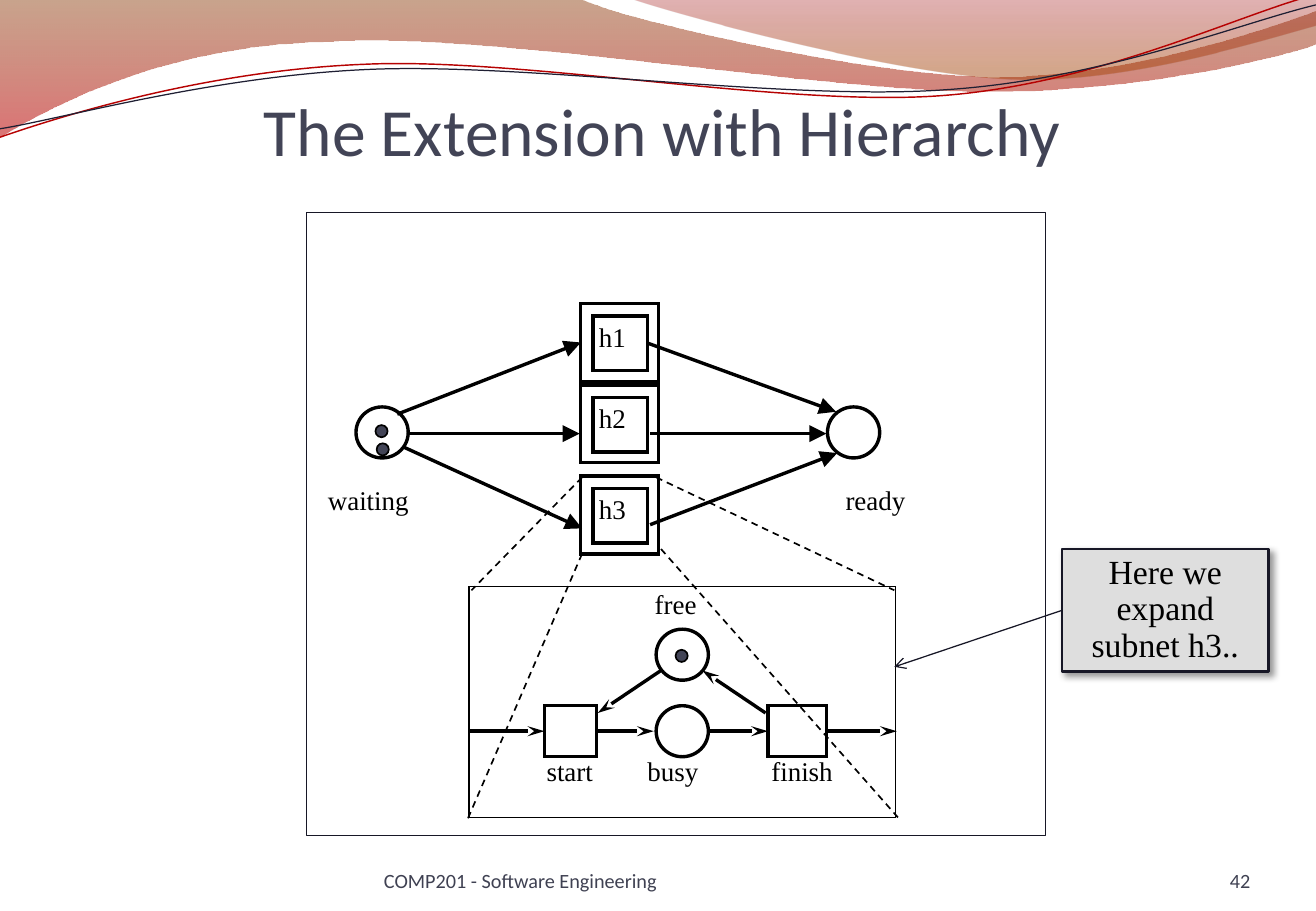
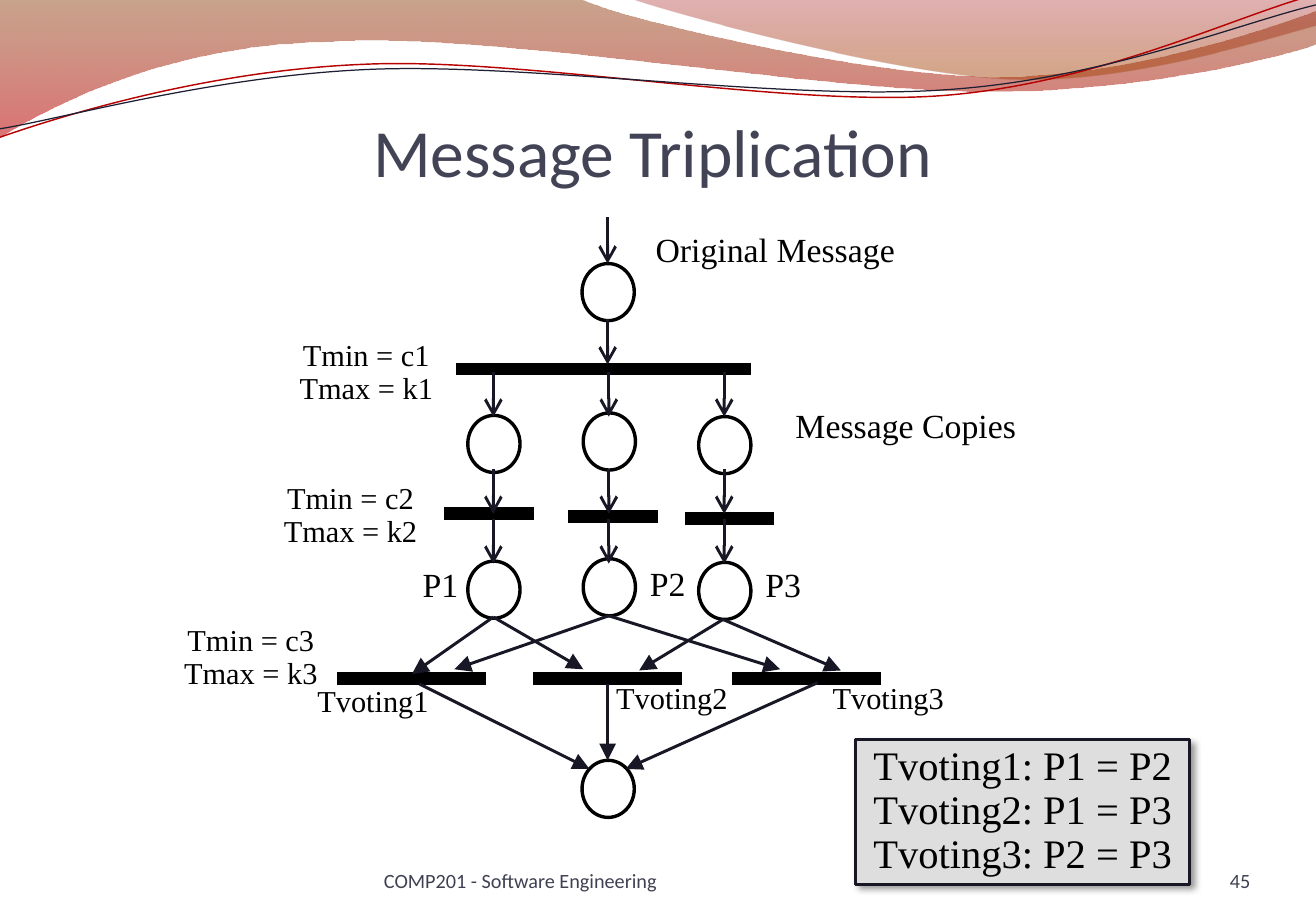
from lxml.etree import SubElement
from pptx import Presentation
from pptx.dml.color import RGBColor
from pptx.enum.dml import MSO_LINE
from pptx.enum.shapes import MSO_CONNECTOR, MSO_SHAPE
from pptx.enum.text import MSO_ANCHOR, MSO_AUTO_SIZE, PP_ALIGN
from pptx.oxml.ns import qn
from pptx.util import Inches, Pt

BLACK = RGBColor(0x00, 0x00, 0x00)
INK = RGBColor(0x17, 0x17, 0x26)
SLATE = RGBColor(0x42, 0x44, 0x56)
FOOT = RGBColor(0x3F, 0x41, 0x52)
GREY = RGBColor(0xDE, 0xDE, 0xDE)
BROWN = RGBColor(0x88, 0x34, 0x00)
RED = RGBColor(0xBD, 0x00, 0x00)
WINE = RGBColor(0x9A, 0x00, 0x00)
RUST = RGBColor(0xA2, 0x3E, 0x00)
SCARLET = RGBColor(0xB6, 0x02, 0x02)
NAVY = RGBColor(0x1F, 0x1F, 0x33)

SANS, SERIF = "Calibri", "Times New Roman"
RECT, OVAL = MSO_SHAPE.RECTANGLE, MSO_SHAPE.OVAL
LEFT, MID, RIGHT = PP_ALIGN.LEFT, PP_ALIGN.CENTER, PP_ALIGN.RIGHT
TOP_SIDE, LEFT_SIDE, LOW_SIDE, RIGHT_SIDE = range(4)

# Each wave: start, then straight (1 point) or curved (3 points) steps
BANDS = [
    ([(0, 0), [(4.77, -0.01)],
      [(5.15, 0.17), (7.19, 0.63), (8.22, 0.63)],
      [(9.24, 0.63), (10.38, 0.26), (10.83, 0.09)], [(10.84, 0.36)],
      [(10.65, 0.44), (9.42, 0.76), (8.08, 0.75)],
      [(6.74, 0.75), (4.14, 0.28), (2.79, 0.34)],
      [(1.4, 0.36), (0.5, 0.83), (-0.01, 1.13)], [(0, 0)]],
     [(0, BROWN, 45), (1, RED, 55)]),
    ([(5.19, -0.01),
      [(5.52, 0.11), (7.39, 0.62), (8.33, 0.65)],
      [(9.27, 0.69), (10.42, 0.32), (10.83, 0.21)],
      [(10.83, 0)], [(5.19, -0.01)]],
     [(0, WINE, 30), (0.8, RUST, 45)]),
]
STRANDS = [
    ([(0, 1.13), [(0.52, 0.95), (1.71, 0.58), (3, 0.53)],
      [(4.28, 0.47), (6.42, 0.88), (7.72, 0.79)],
      [(9.02, 0.7), (10.17, 0.13), (10.81, -0.04)]], SCARLET, 0.85),
    ([(0, 1.06), [(0.51, 0.98), (1.77, 0.62), (3.07, 0.57)],
      [(4.36, 0.52), (6.47, 0.83), (7.76, 0.74)],
      [(9.06, 0.66), (10.2, 0.19), (10.83, 0.04)]], NAVY, 0.75),
]


def write(frame, lines, size, color=BLACK, font=SERIF, align=LEFT,
          gap=None, anchor=MSO_ANCHOR.TOP, wrap=True):
    frame.word_wrap = wrap
    frame.auto_size = MSO_AUTO_SIZE.NONE
    frame.vertical_anchor = anchor
    for i, line in enumerate(lines):
        para = frame.add_paragraph() if i else frame.paragraphs[0]
        para.text = line
        para.alignment = align
        para.line_spacing = gap
        para.font.size = Pt(size)
        para.font.name = font
        para.font.color.rgb = color


def inset(frame, top=0):
    frame.margin_left = frame.margin_right = frame.margin_bottom = 0
    frame.margin_top = Inches(top)


class Pen:
    """Draws on a slide, in inches from the corner of a region."""

    def __init__(self, slide, x=0, y=0):
        self.shapes, self.x, self.y = slide.shapes, x, y

    def place(self, x, y):
        return Inches(self.x + x), Inches(self.y + y)

    def shape(self, kind, x, y, w, h, fill=None, line=BLACK, width=2):
        item = self.shapes.add_shape(
            kind, *self.place(x, y), Inches(w), Inches(h))
        item.shadow.inherit = False
        if fill is None:
            item.fill.background()
        else:
            item.fill.solid()
            item.fill.fore_color.rgb = fill
        item.line.color.rgb = line
        item.line.width = Pt(width)
        if line == BLACK:
            SubElement(item._element.spPr.find(qn("a:ln")),
                       qn("a:miter"), lim="800000")
        return item

    def token(self, x, y):
        self.shape(OVAL, x, y, 0.1, 0.1, SLATE, width=1)

    def bar(self, x, y, w, h=0.08):
        return self.shape(RECT, x, y, w, h, BLACK)

    def label(self, lines, x, y, w, h, size=16, align=LEFT):
        box = self.shapes.add_textbox(
            *self.place(x, y), Inches(w), Inches(h))
        write(box.text_frame, lines, size, align=align, gap=0.9,
              wrap=align == LEFT)

    def line(self, start, end, head=None, color=BLACK, width=2, dash=False,
             wide="lg", long="lg"):
        """Each end is a point, or a shape with the side to join."""
        free = [p if isinstance(p[0], (int, float)) else None
                for p in (start, end)]
        spots = [self.place(*(p or (0, 0))) for p in free]
        link = self.shapes.add_connector(
            MSO_CONNECTOR.STRAIGHT, *spots[0], *spots[1])
        if free[0] is None:
            link.begin_connect(*start)
        if free[1] is None:
            link.end_connect(*end)
        link.line.color.rgb = color
        link.line.width = Pt(width)
        if dash:
            link.line.dash_style = MSO_LINE.DASH
        props = link._element.spPr
        if head:
            SubElement(props.find(qn("a:ln")), qn("a:tailEnd"),
                       type=head, w=wide, len=long)
        SubElement(props, qn("a:effectLst"))

    def note(self, lines, x, y, w, h, size):
        box = self.shape(RECT, x, y, w, h, GREY, INK, 1.5)
        write(box.text_frame, lines, size, align=MID, gap=0.9)
        glow = SubElement(
            box._element.spPr.find(qn("a:effectLst")), qn("a:outerShdw"),
            blurRad=str(Pt(4)), dist=str(Pt(3)), dir="2700000",
            algn="tl", rotWithShape="0")
        tint = SubElement(glow, qn("a:srgbClr"), val=str(BLACK))
        SubElement(tint, qn("a:alpha"), val="40000")
        return box


# Shared page parts

def outline(slide, steps, close):
    """Build a freeform, then bend each run of three points to a curve."""
    dots = [steps[0]] + [dot for step in steps[1:] for dot in step]
    dots = [(Inches(x), Inches(y)) for x, y in dots]
    build = slide.shapes.build_freeform(*dots[0], scale=1.0)
    build.add_line_segments(dots[1:], close=close)
    item = build.convert_to_shape()
    item.shadow.inherit = False
    legs = iter(list(item._element.iter(qn("a:lnTo"))))
    for step in steps[1:]:
        run = [next(legs) for _ in step]
        if len(run) == 3:
            run[0].tag = qn("a:cubicBezTo")
            for leg in run[1:]:
                run[0].append(leg[0])
                leg.getparent().remove(leg)
    return item


def waves(slide):
    """Draw the top waves and hand them to the slide's layout."""
    items = []
    for steps, stops in BANDS:
        item = outline(slide, steps, True)
        item.line.fill.background()
        item.fill.gradient()
        item.fill.gradient_angle = 270
        for stop, (spot, color, _) in zip(item.fill.gradient_stops, stops):
            stop.position = spot
            stop.color.rgb = color
        tints = item._element.spPr.iter(qn("a:srgbClr"))
        for tint, (_, _, alpha) in zip(list(tints), stops):
            SubElement(tint, qn("a:alpha"), val=str(alpha * 1000))
        items.append(item)
    for steps, color, width in STRANDS:
        item = outline(slide, steps, False)
        item.fill.background()
        item.line.color.rgb = color
        item.line.width = Pt(width)
        items.append(item)
    tree = slide.slide_layout.shapes._spTree
    for i, item in enumerate(items):
        item._element.nvSpPr.cNvPr.set("id", str(100 + i))
        tree.insert(2 + i, item._element)


def page(deck, title, number, x, y, w, h):
    slide = deck.slides.add_slide(deck.slide_layouts[5])
    head = slide.shapes.title
    head.left, head.top, head.width, head.height = map(Inches, (x, y, w, h))
    inset(head.text_frame, 0.05)
    write(head.text_frame, [title], 40, SLATE, SANS, MID,
          anchor=MSO_ANCHOR.BOTTOM)
    for text, left, wide, align in (
            ("COMP201 - Software Engineering", 3.16, 3.97, LEFT),
            (number, 9.39, 0.9, RIGHT)):
        foot = slide.shapes.add_textbox(
            Inches(left), Inches(6.95), Inches(wide), Inches(0.4))
        inset(foot.text_frame)
        write(foot.text_frame, [text], 12, FOOT, SANS, align,
              anchor=MSO_ANCHOR.BOTTOM)
    return slide


# Hierarchy slide

def net(slide, x, y):
    pen = Pen(slide, x, y)
    pen.shape(RECT, 0, 0, 6.08, 5.13, line=INK, width=0.25)
    # Places
    for name, left, text, wide in (("waiting", 0.41, 0.08, 0.99),
                                   ("ready", 4.29, 4.34, 0.79)):
        pen.shape(OVAL, left, 1.6, 0.43, 0.42)
        pen.label([name], text, 2.21, wide, 0.34)
    pen.token(0.58, 1.9)
    pen.token(0.57, 1.75)
    # Nested transitions
    pairs = []
    for name, top in (("h1", 0.75), ("h2", 1.42), ("h3", 2.17)):
        pairs.append((pen.shape(RECT, 2.26, top, 0.64, 0.64),
                      pen.shape(RECT, 2.36, top + 0.1, 0.45, 0.45)))
        pen.label([name], 2.31, top + 0.12, 0.48, 0.34)
    outer, inner = pairs[0]
    for start, end in (
            ((0.75, 1.66), (outer, LEFT_SIDE)),
            ((0.83, 1.82), (2.25, 1.82)),
            ((0.8, 1.93), (2.27, 2.6)),
            ((inner, RIGHT_SIDE), (4.36, 1.64)),
            ((2.83, 1.82), (4.28, 1.82)),
            ((2.83, 2.57), (4.37, 1.98))):
        pen.line(start, end, "triangle")
    # Zoom lines from h3
    for start, end in (((2.27, 2.81), (1.33, 4.99)),
                       ((2.27, 2.18), (1.36, 3.11)),
                       ((2.92, 2.77), (4.87, 4.98)),
                       ((2.88, 2.18), (4.84, 3.11))):
        pen.line(start, end, width=1, dash=True)


def subnet(slide, x, y):
    pen = Pen(slide, x, y)
    pen.shape(RECT, 0, 0, 3.51, 1.9, width=1)
    begin = pen.shape(RECT, 0.62, 0.98, 0.43, 0.42)
    finish = pen.shape(RECT, 2.46, 0.98, 0.48, 0.42)
    for top in (0.35, 0.98):
        pen.shape(OVAL, 1.54, top, 0.43, 0.42)
    pen.token(1.7, 0.52)
    for start, end in (
            ((0, 1.19), (begin, LEFT_SIDE)),
            ((begin, RIGHT_SIDE), (1.52, 1.19)),
            ((1.98, 1.19), (finish, LEFT_SIDE)),
            ((finish, RIGHT_SIDE), (3.52, 1.19)),
            ((1.58, 0.69), (1.06, 1.04)),
            ((2.44, 1.04), (1.92, 0.69))):
        pen.line(start, end, "stealth", wide="med")
    for name, left, top, wide in (
            ("start", 0.54, 1.36, 0.67), ("busy", 1.37, 1.36, 0.71),
            ("finish", 2.39, 1.36, 0.81), ("free", 1.43, -0.01, 0.63)):
        pen.label([name], left, top, wide, 0.39)


# Triplication slide

def limits(pen, n, x, y):
    pen.label([f"Tmin = c{n}", f"Tmax = k{n}"], x, y, 1.31, 0.65, 18, MID)


def split(slide, x, y):
    pen = Pen(slide, x, y)
    ink = {"head": "arrow", "color": INK, "width": 1.75}
    pen.shape(OVAL, 2.79, 0.67, 0.43, 0.47)
    pen.bar(1.77, 1.5, 2.4, 0.07)
    pen.line((3, 0.29), (3, 0.67), **ink)
    pen.line((3, 1.13), (3, 1.5), **ink)
    # One column for each message
    for i, (dip, left, top, side, low) in enumerate((
            (0.02, 1.67, 2.69, 1.32, 3.13),
            (0, 2.69, 2.71, 3.19, 3.12),
            (0.03, 3.65, 2.73, 4.14, 3.13))):
        mid = 2.06 + 0.95 * i
        for ring in (1.9, 3.1):
            pen.shape(OVAL, mid - 0.21, ring + dip, 0.43, 0.47)
        pen.bar(left, top, 0.71)
        for start in (1.56, 2.36, 2.77):
            pen.line((mid, start), (mid, start + 0.37), **ink)
        pen.label([f"P{i + 1}"], side, low, 0.61, 0.4, 20, MID)
    pen.label(["Original Message"], 3.29, 0.37, 2.18, 0.4, 20, MID)
    pen.label(["Message Copies"], 4.44, 1.82, 2.03, 0.4, 20, MID)
    limits(pen, 1, 0.36, 1.25)
    limits(pen, 2, 0.23, 2.43)


def vote(slide, x, y):
    pen = Pen(slide, x, y)
    bars = [pen.bar(left, 1.05, 1.2) for left in (1.79, 3.4, 5.04)]
    pen.shape(OVAL, 3.79, 1.76, 0.43, 0.47)
    for start, *ends in (
            ((3.06, 0.58), (bars[0], TOP_SIDE), (3.8, 1.01)),
            ((4.01, 0.57), (2.74, 1.01), (5.42, 1.01)),
            ((4.95, 0.6), (4.26, 1.02), (5.92, 1.02)),
            ((2.45, 1.13), (3.85, 1.83)),
            ((bars[1], LOW_SIDE), (4, 1.76)),
            ((5.73, 1.12), (4.15, 1.83))):
        for end in ends:
            pen.line(start, end, "triangle", INK, 1.75)
    for n, (left, top) in enumerate(
            ((1.5, 1.1), (3.96, 1.08), (5.74, 1.08)), 1):
        pen.label([f"Tvoting{n}"], left, top, 1.14, 0.37, 18, MID)
    limits(pen, 3, 0.41, 0.6)


def main():
    deck = Presentation()
    deck.slide_width, deck.slide_height = Inches(10.83), Inches(7.5)

    slide = page(deck, "The Extension with Hierarchy", "42",
                 0.87, 0.31, 9.16, 1.09)
    waves(slide)
    net(slide, 2.52, 1.75)
    subnet(slide, 3.86, 4.83)
    pen = Pen(slide)
    note = pen.note(["Here we expand subnet h3.."], 8.74, 4.52, 1.7, 1.01, 20)
    pen.line((note, LEFT_SIDE), (7.36, 5.49), "arrow", INK, 0.75,
             wide="med", long="med")

    slide = page(deck, "Message Triplication", "45", 0.45, 0.7, 9.84, 0.87)
    split(slide, 2, 1.5)
    vote(slide, 1, 4.5)
    Pen(slide).note(["Tvoting1: P1 = P2", "Tvoting2: P1 = P3",
                     "Tvoting3: P2 = P3"], 7.04, 6.09, 2.75, 1.19, 24)
    deck.save("out.pptx")


if __name__ == "__main__":
    main()
